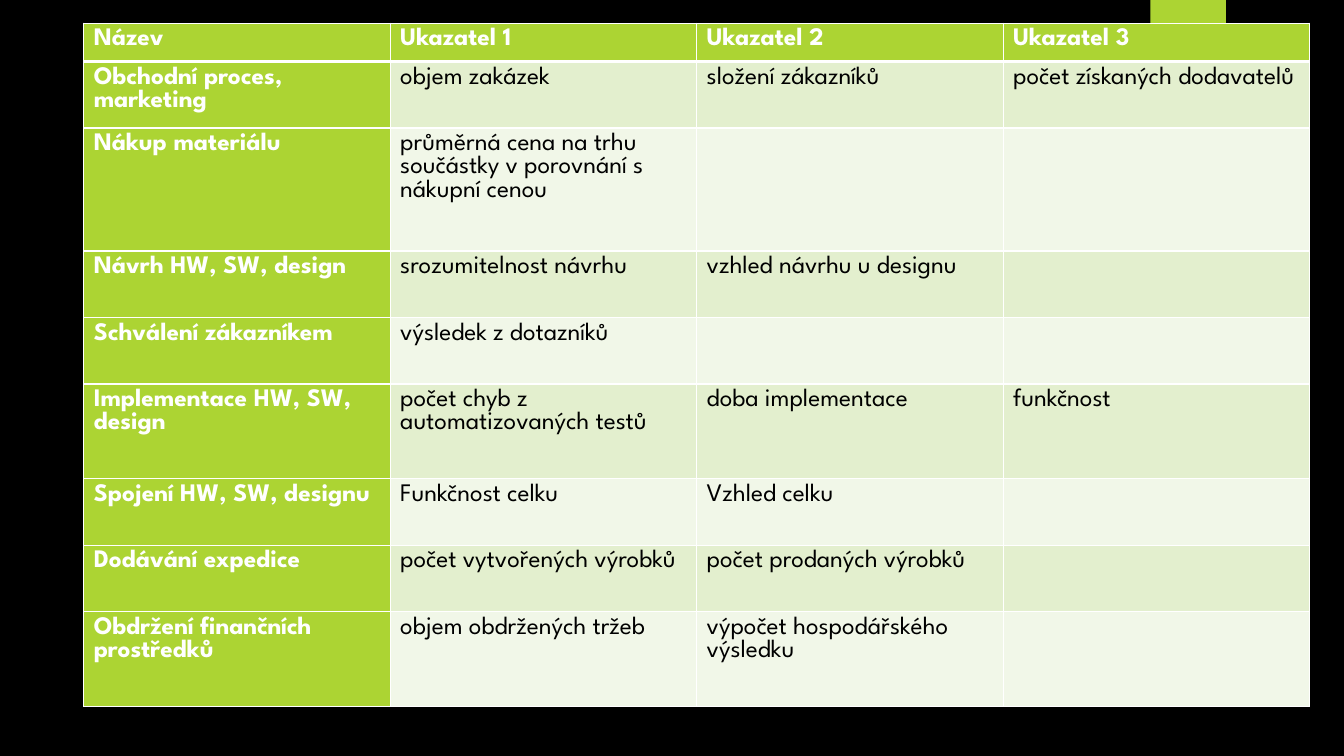
from lxml.etree import SubElement
from pptx import Presentation
from pptx.dml.color import RGBColor
from pptx.enum.shapes import MSO_SHAPE
from pptx.oxml.ns import qn
from pptx.util import Inches, Pt

COLORS = {
    "background": "000000",
    "accent": "ACD433",
    "band_dark": "E3EFCE",
    "band_light": "F1F7E8",
    "white": "FFFFFF",
    "black": "000000",
}
FONT = "League Spartan"
HEADER = ("Název", "Ukazatel 1", "Ukazatel 2", "Ukazatel 3")
PROCESSES = [
    ("Obchodní proces, marketing", "objem zakázek", "složení zákazníků",
     "počet získaných dodavatelů"),
    ("Nákup materiálu",
     "průměrná cena na trhu součástky v porovnání s nákupní cenou", "", ""),
    ("Návrh HW, SW, design", "srozumitelnost návrhu", "vzhled návrhu u designu", ""),
    ("Schválení zákazníkem", "výsledek z dotazníků", "", ""),
    ("Implementace HW, SW, design", "počet chyb z automatizovaných testů",
     "doba implementace", "funkčnost"),
    ("Spojení HW, SW, designu", "Funkčnost celku", "Vzhled celku", ""),
    ("Dodávání expedice", "počet vytvořených výrobků", "počet prodaných výrobků", ""),
    ("Obdržení finančních prostředků", "objem obdržených tržeb",
     "výpočet hospodářského výsledku", ""),
]
ROW_HEIGHTS = (0.38, 0.66, 1.22, 0.66, 0.66, 0.94, 0.66, 0.66, 0.94)
COLUMN_WIDTH = 3.04
TABLE_LEFT, TABLE_TOP = 0.83, 0.23
TAB = (11.41, 0, 0.75, 1.25)


def color(name):
    return RGBColor.from_string(COLORS[name])


def fill_solid(target, name):
    target.fill.solid()
    target.fill.fore_color.rgb = color(name)


def add_borders(cell, widths):
    """Draw white borders; they must precede the fill in the cell properties."""
    properties = cell._tc.get_or_add_tcPr()
    for side, width in widths.items():
        line = SubElement(properties, qn(f"a:{side}"), w=str(Pt(width)))
        solid = SubElement(line, qn("a:solidFill"))
        SubElement(solid, qn("a:srgbClr"), val=COLORS["white"])


def format_cell(cell, text, row, column):
    is_label = row == 0 or column == 0
    band = "band_dark" if row % 2 else "band_light"
    add_borders(cell, {"lnL": 1, "lnR": 1, "lnT": 3 if row == 1 else 1,
                       "lnB": 3 if row == 0 else 1})
    fill_solid(cell, "accent" if is_label else band)
    paragraph = cell.text_frame.paragraphs[0]
    font_format = {"name": FONT, "size": Pt(18), "bold": is_label}
    if text:
        run = paragraph.add_run()
        run.text = text
        for attribute, value in font_format.items():
            setattr(run.font, attribute, value)
        run.font.color.rgb = color("white" if is_label else "black")


def add_process_table(slide):
    rows = [HEADER, *PROCESSES]
    table = slide.shapes.add_table(
        len(rows), len(HEADER), Inches(TABLE_LEFT), Inches(TABLE_TOP),
        Inches(COLUMN_WIDTH * len(HEADER)), Inches(sum(ROW_HEIGHTS))).table
    for column in table.columns:
        column.width = Inches(COLUMN_WIDTH)
    for row_index, (texts, height) in enumerate(zip(rows, ROW_HEIGHTS)):
        table.rows[row_index].height = Inches(height)
        for column_index, text in enumerate(texts):
            format_cell(table.cell(row_index, column_index), text,
                        row_index, column_index)


def main():
    presentation = Presentation()
    presentation.slide_width = Inches(13.33)
    presentation.slide_height = Inches(7.5)
    slide = presentation.slides.add_slide(presentation.slide_layouts[6])
    fill_solid(slide.background, "background")

    tab = slide.shapes.add_shape(MSO_SHAPE.RECTANGLE, *map(Inches, TAB))
    tab.shadow.inherit = False
    fill_solid(tab, "accent")
    tab.line.fill.background()

    add_process_table(slide)
    presentation.save("out.pptx")


if __name__ == "__main__":
    main()
